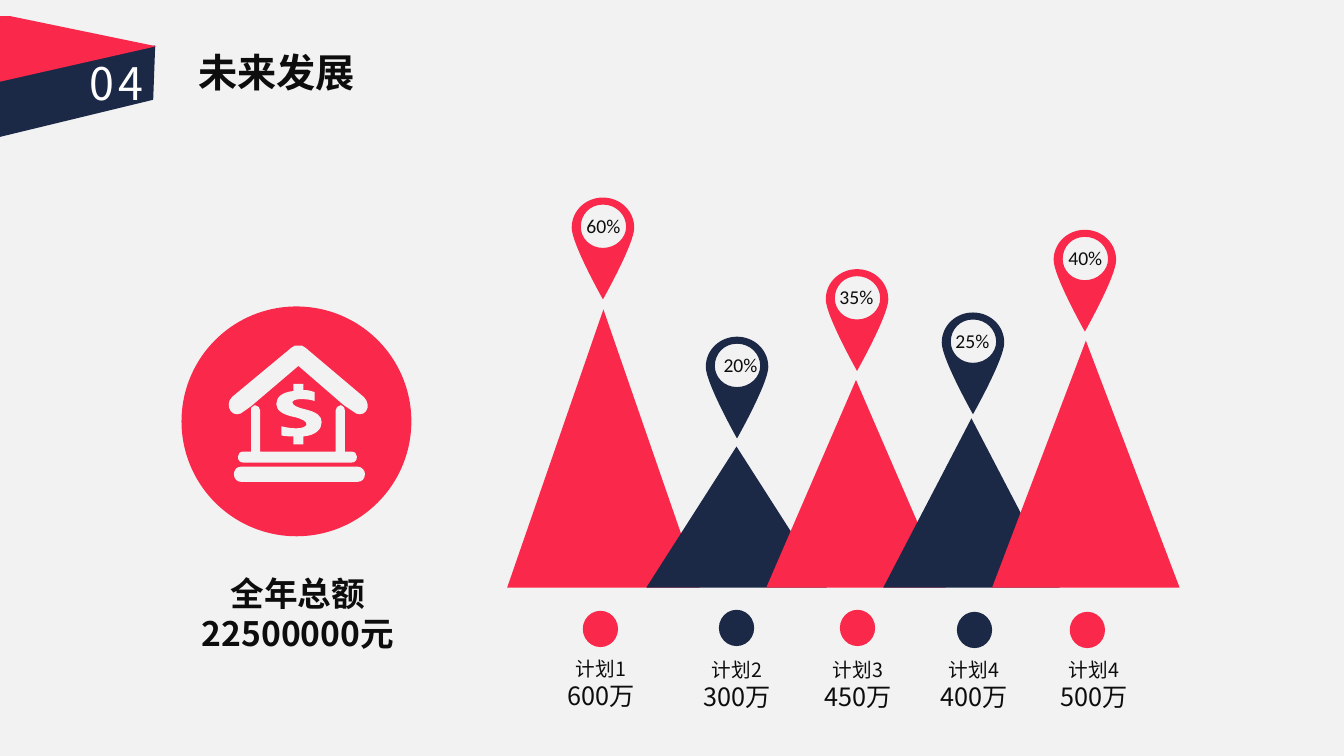
"""Build the future development slide with its mountain chart of plans."""
from lxml import etree
from pptx import Presentation
from pptx.dml.color import RGBColor
from pptx.enum import shapes, text
from pptx.oxml import ns
from pptx.util import Inches, Pt

COLORS = {"red": "FA284B", "navy": "1B2946", "paper": "F2F2F2",
          "ink": "0D0D0D", "white": "FFFFFF"}
CJK = "Noto Sans CJK SC"
BASE_Y = 5.83

# name, amount, share, colour, dot (left, top), caption (left, top, width),
# triangle (left, top, width), pin (centre, top), share label left
PLANS = [
    ("计划1", "600万", "60%", "red", (5.78, 6.06), (5.23, 6.5, 1.46),
     (5.03, 3.07, 1.91), (5.98, 1.96), 5.72),
    ("计划2", "300万", "20%", "navy", (7.13, 6.05), (6.61, 6.51, 1.4),
     (6.41, 4.43, 1.79), (7.31, 3.34), 7.08),
    ("计划3", "450万", "35%", "red", (8.33, 6.05), (7.81, 6.51, 1.4),
     (7.6, 3.77, 1.78), (8.5, 2.67), 8.23),
    ("计划4", "400万", "25%", "navy", (9.49, 6.07), (8.96, 6.51, 1.4),
     (8.76, 4.15, 1.75), (9.65, 3.1), 9.38),
    ("计划4", "500万", "40%", "red", (10.61, 6.07), (10.15, 6.51, 1.4),
     (9.84, 3.38, 1.86), (10.76, 2.28), 10.5),
]

# Outlines: a pair is a straight step, six numbers are a cubic curve.
PIN = [(0, 0), (-.17, 0, -.31, .13, -.31, .3), (-.31, .46, 0, 1.01, 0, 1.01),
       (0, 1.01, .31, .46, .31, .3), (.31, .13, .17, 0, 0, 0)]
PIN_HOLE = [(0, .5), (-.13, .5, -.22, .4, -.22, .29),
            (-.22, .17, -.13, .07, 0, .07), (.13, .07, .23, .17, .23, .29),
            (.23, .4, .13, .5, 0, .5)]
ROOF = [(3.61, 3.94), (3.65, 3.98, 3.66, 4.04, 3.63, 4.08),
        (3.6, 4.12, 3.54, 4.12, 3.5, 4.08), (3.41, 4.02), (2.96, 3.63),
        (2.49, 4.03), (2.42, 4.08), (2.38, 4.12, 2.32, 4.12, 2.29, 4.08),
        (2.26, 4.04, 2.26, 3.98, 2.3, 3.94), (2.89, 3.45),
        (2.91, 3.43, 2.94, 3.42, 2.96, 3.43),
        (2.98, 3.42, 3.01, 3.43, 3.03, 3.45)]
STEP = [(3.55, 4.63), (3.59, 4.63, 3.62, 4.67, 3.62, 4.7),
        (3.62, 4.75, 3.59, 4.78, 3.55, 4.78), (2.39, 4.78),
        (2.35, 4.78, 2.32, 4.75, 2.32, 4.7),
        (2.32, 4.68, 2.33, 4.67, 2.34, 4.65),
        (2.35, 4.64, 2.37, 4.63, 2.39, 4.63)]
WALLS = [(3.48, 4.48), (3.52, 4.48, 3.54, 4.5, 3.54, 4.53),
         (3.54, 4.57, 3.52, 4.59, 3.48, 4.59), (2.42, 4.59),
         (2.38, 4.59, 2.36, 4.57, 2.36, 4.53),
         (2.36, 4.5, 2.38, 4.48, 2.42, 4.48), (2.49, 4.48), (2.49, 4.07),
         (2.49, 4.05, 2.49, 4.04, 2.5, 4.04),
         (2.51, 4.03, 2.52, 4.02, 2.53, 4.02),
         (2.56, 4.02, 2.58, 4.05, 2.58, 4.07), (2.58, 4.48), (3.33, 4.48),
         (3.33, 4.07), (3.33, 4.05, 3.35, 4.02, 3.38, 4.02),
         (3.39, 4.02, 3.39, 4.03, 3.41, 4.04),
         (3.41, 4.04, 3.42, 4.05, 3.42, 4.07), (3.42, 4.48)]
DOLLAR = [(3.02, 4.06), (3.15, 4.09, 3.19, 4.13, 3.19, 4.19),
          (3.19, 4.26, 3.13, 4.32, 3.01, 4.33), (3.01, 4.41), (2.91, 4.41),
          (2.91, 4.33), (2.87, 4.33, 2.83, 4.33, 2.79, 4.32), (2.79, 4.23),
          (2.84, 4.24, 2.88, 4.25, 2.94, 4.25),
          (3, 4.25, 3.04, 4.23, 3.04, 4.21),
          (3.04, 4.18, 3, 4.16, 2.93, 4.14),
          (2.82, 4.12, 2.74, 4.08, 2.74, 4.01),
          (2.74, 3.94, 2.8, 3.89, 2.91, 3.88), (2.91, 3.81), (3.01, 3.81),
          (3.01, 3.87), (3.06, 3.87, 3.09, 3.88, 3.12, 3.89), (3.12, 3.98),
          (3.1, 3.97, 3.05, 3.96, 2.99, 3.96),
          (2.92, 3.96, 2.9, 3.98, 2.9, 3.99),
          (2.9, 4.02, 2.94, 4.04, 3.02, 4.06)]
BANNER_NAVY = [(1.54, .45), (1.52, .99), (-.42, 1.46), (-.15, .84)]
BANNER_RED = [(.1, .16), (1.55, .46), (-.04, .82), (-.29, .16)]


def rgb(color):
    return RGBColor.from_string(COLORS[color])


def paint(sp, color):
    sp.shadow.inherit = False
    sp.fill.solid()
    sp.fill.fore_color.rgb = rgb(color)
    sp.line.fill.background()
    return sp


def add_oval(parent, box, color):
    oval = shapes.MSO_SHAPE.OVAL
    paint(parent.shapes.add_shape(oval, *map(Inches, box)), color)


def bend(sp, steps, place):
    lines = list(sp._element.iter(ns.qn("a:lnTo")))
    for line, step in zip(lines, steps):
        if len(step) == 2:
            continue
        curve = etree.Element(ns.qn("a:cubicBezTo"))
        for i in (0, 2, 4):
            x, y = place(step[i:i + 2])
            pt = etree.SubElement(curve, ns.qn("a:pt"))
            pt.set("x", str(x - sp.left))
            pt.set("y", str(y - sp.top))
        line.getparent().replace(line, curve)


def add_outline(parent, color, *outlines, origin=(0, 0)):
    def place(point):
        return Inches(point[0] + origin[0]), Inches(point[1] + origin[1])

    builder = parent.shapes.build_freeform(*place(outlines[0][0]))
    for i, outline in enumerate(outlines):
        if i:
            builder.move_to(*place(outline[0]))
        builder.add_line_segments([place(step[-2:]) for step in outline[1:]],
                                  close=True)
    sp = paint(builder.convert_to_shape(), color)
    bend(sp, [step for outline in outlines for step in outline[1:]], place)


def write(sp, *lines, sizes, font=CJK, color="ink", bold=False, spacing=None,
          align=text.PP_ALIGN.CENTER, anchor=text.MSO_ANCHOR.TOP,
          insets=(.1, .05)):
    tf = sp.text_frame
    tf.word_wrap = True
    tf.auto_size = text.MSO_AUTO_SIZE.NONE
    tf.vertical_anchor = anchor
    tf.margin_left = tf.margin_right = Inches(insets[0])
    tf.margin_top = tf.margin_bottom = Inches(insets[1])
    for i, (line, size) in enumerate(zip(lines, sizes)):
        p = tf.paragraphs[0] if i == 0 else tf.add_paragraph()
        p.alignment = align
        r = p.add_run()
        r.text = line
        r.font.size, r.font.bold, r.font.name = Pt(size), bold, font
        r.font.color.rgb = rgb(color)
        rPr = r.font._element
        etree.SubElement(rPr, ns.qn("a:ea")).set("typeface", font)
        if spacing:
            rPr.set("spc", str(spacing * 100))


def add_text(parent, box, *lines, **style):
    sp = parent.shapes.add_textbox(*map(Inches, box))
    write(sp, *lines, **style)


def add_mountains(s):
    for name, amount, _, color, dot, caption, peak, _, _ in PLANS:
        add_oval(s, (*dot, .35, .36), color)
        add_text(s, (*caption, .57), name, amount, sizes=(14, 18),
                 anchor=text.MSO_ANCHOR.MIDDLE)
        left, top, width = peak
        add_outline(s, color, [(left + width / 2, top),
                               (left + width, BASE_Y), (left, BASE_Y)])


def add_pins(s):
    for _, _, share, color, _, _, _, pin, label_left in PLANS:
        group = s.shapes.add_group_shape()
        add_outline(group, color, PIN, PIN_HOLE, origin=pin)
        add_text(group, (label_left, pin[1] + .14, .53, .29), share,
                 sizes=(14,), font="Calibri", insets=(.05, .02))


def add_bank(s):
    group = s.shapes.add_group_shape()
    add_oval(group, (1.8, 3.04, 2.28, 2.28), "red")
    for outline in (ROOF, STEP, WALLS, DOLLAR):
        add_outline(group, "paper", outline)


def add_banner(s):
    group = s.shapes.add_group_shape()
    add_outline(group, "navy", BANNER_NAVY)
    add_outline(group, "red", BANNER_RED)
    add_text(group, (.79, .5, 1.25, .64), "04", sizes=(32,), color="white",
             spacing=3, align=text.PP_ALIGN.LEFT)


def main():
    prs = Presentation()
    prs.slide_width, prs.slide_height = Inches(13.33), Inches(7.5)
    s = prs.slides.add_slide(prs.slide_layouts[5])
    s.background.fill.solid()
    s.background.fill.fore_color.rgb = rgb("paper")
    title = s.shapes.title
    title.left, title.top = Inches(.77), Inches(.43)
    title.width, title.height = Inches(3.95), Inches(.57)
    write(title, "未来发展", sizes=(28,), bold=True)
    add_mountains(s)
    add_pins(s)
    add_bank(s)
    add_text(s, (1.47, 5.63, 2.97, .91), "全年总额", "22500000元",
             sizes=(24, 24), bold=True)
    add_banner(s)
    prs.save("out.pptx")


if __name__ == "__main__":
    main()
